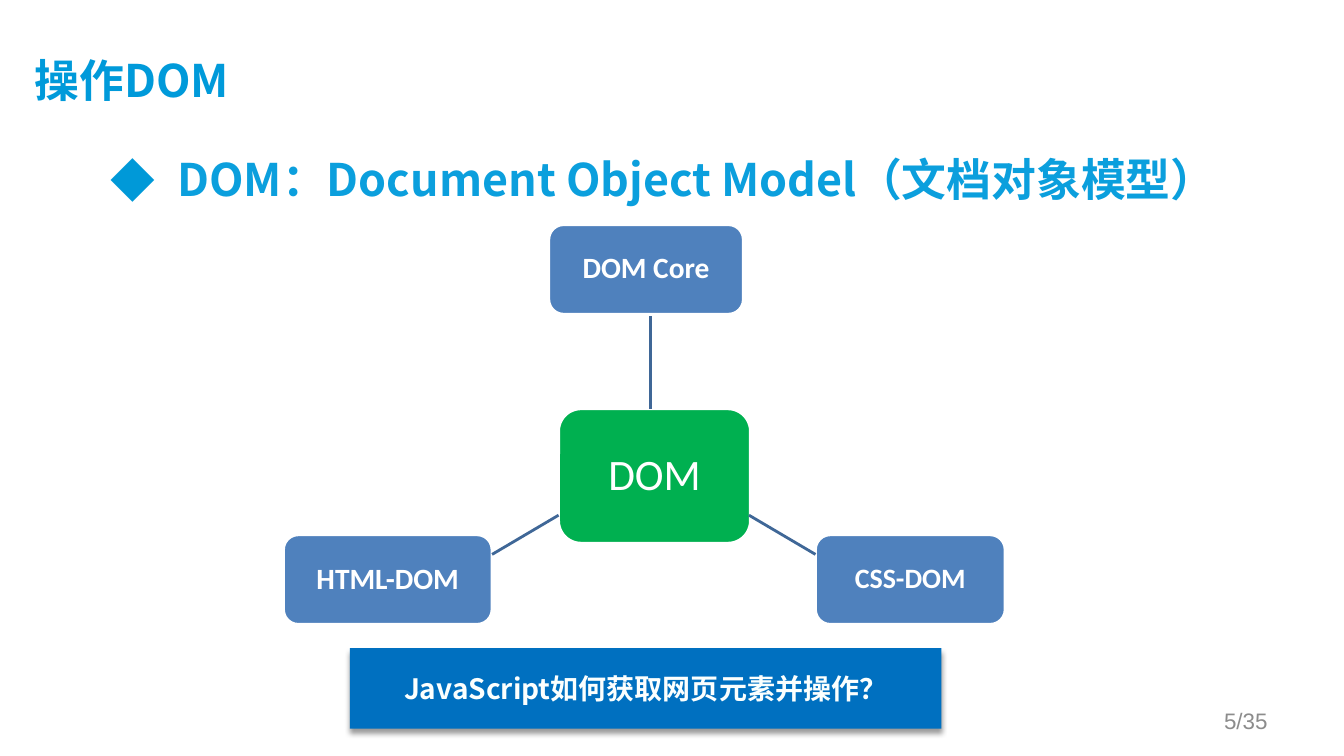
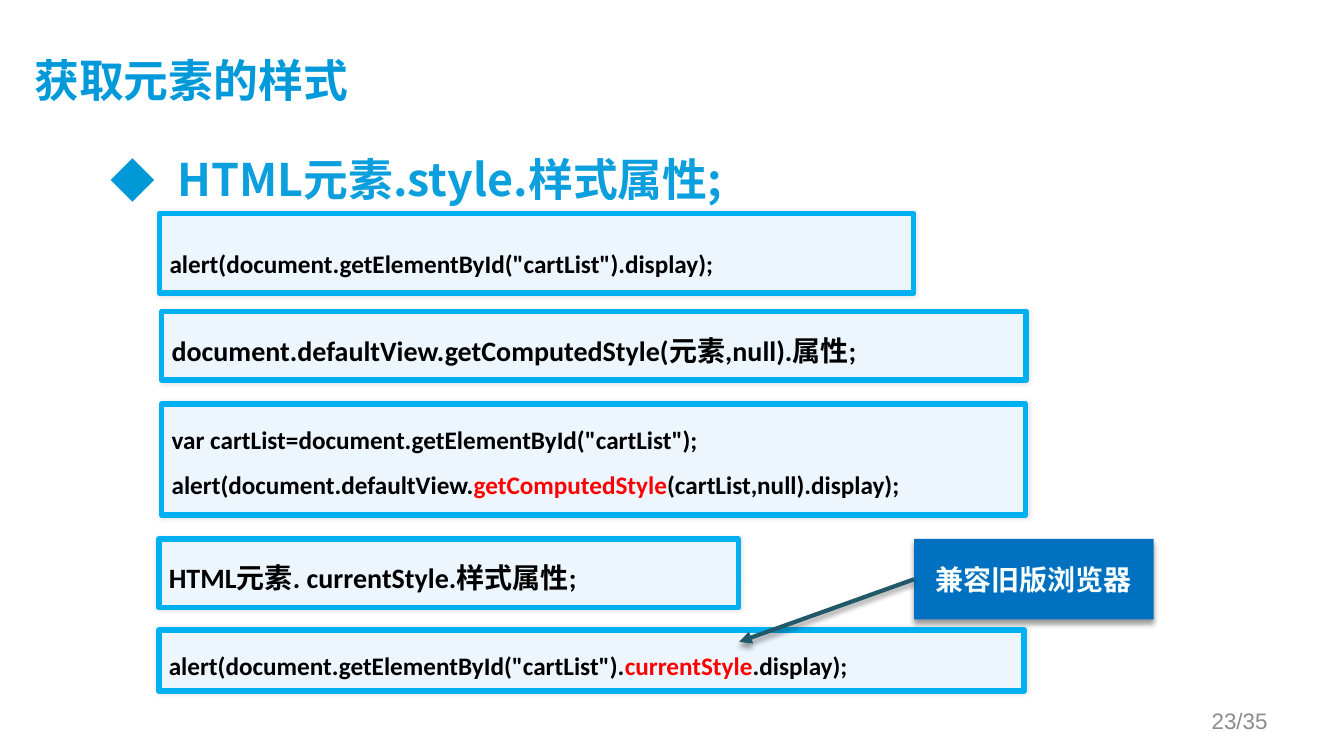
"""Build two slides on the DOM and on reading element styles."""
from lxml import etree
from pptx import Presentation
from pptx.dml.color import RGBColor
from pptx.enum.shapes import MSO_CONNECTOR, MSO_SHAPE
from pptx.enum.text import MSO_ANCHOR, PP_ALIGN
from pptx.oxml.ns import qn
from pptx.util import Pt

LEFT, CENTER, RIGHT = PP_ALIGN.LEFT, PP_ALIGN.CENTER, PP_ALIGN.RIGHT
TOP, MIDDLE = MSO_ANCHOR.TOP, MSO_ANCHOR.MIDDLE
RECTANGLE, ROUNDED = MSO_SHAPE.RECTANGLE, MSO_SHAPE.ROUNDED_RECTANGLE
STRAIGHT = MSO_CONNECTOR.STRAIGHT

COLORS = {
    "title": "009ADA",
    "heading": "0B9FDD",
    "bullet": "0099D8",
    "page": "8C8C8C",
    "white": "FFFFFF",
    "black": "000000",
    "highlight": "FF0000",
    "core": "00B050",
    "node": "4F81BD",
    "link": "3F6797",
    "callout": "0070C0",
    "callout_text": "FBFFFE",
    "code": "EDF5FD",
    "code_line": "00B0F0",
    "arrow": "215968",
}
RGB = {name: RGBColor.from_string(value) for name, value in COLORS.items()}
CJK_FONT, LATIN_FONT, PAGE_FONT = "Noto Sans CJK SC", "Calibri", "Arial"
CALLOUT_SHADOW = {"alpha": 40, "blur": 4, "distance": 3}
CODE_SHADOW = {"alpha": 10, "blur": 3, "distance": 0}


def write(shape, text, size, font, color, bold=True, align=LEFT, anchor=TOP, spacing=1.0):
    """Fill a shape with lines of text; pieces between bars are highlighted."""
    frame = shape.text_frame
    frame.word_wrap = True
    frame.vertical_anchor = anchor
    for index, line in enumerate(text.split("\n")):
        paragraph = frame.add_paragraph() if index else frame.paragraphs[0]
        paragraph.alignment = align
        paragraph.line_spacing = spacing
        for position, piece in enumerate(line.split("|")):
            run = paragraph.add_run()
            run.text = piece
            run.font.size = Pt(size)
            run.font.bold = bold
            run.font.name = font
            run.font.color.rgb = RGB["highlight" if position % 2 else color]
            east_asian = PAGE_FONT if font == PAGE_FONT else CJK_FONT
            etree.SubElement(run.font._element, qn("a:ea"), typeface=east_asian)


def set_shadow(shape, alpha=0, blur=0, distance=0):
    """Replace the theme shadow by a downward one, or by none."""
    effects = etree.SubElement(shape._element.spPr, qn("a:effectLst"))
    if alpha:
        outer = etree.SubElement(
            effects, qn("a:outerShdw"), blurRad=str(Pt(blur)), dist=str(Pt(distance)),
            dir="5400000", rotWithShape="0")
        color = etree.SubElement(outer, qn("a:srgbClr"), val=COLORS["black"])
        etree.SubElement(color, qn("a:alpha"), val=str(alpha * 1000))


presentation = Presentation()
presentation.slide_width = Pt(960)
presentation.slide_height = Pt(540)
blank_layout = presentation.slide_layouts[6]

pages = [
    ("操作DOM", "DOM：Document Object Model（文档对象模型）", "5/35",
     "JavaScript如何获取网页元素并操作？", (250, 463, 422.5, 57.5)),
    ("获取元素的样式", "HTML元素.style.样式属性;", "23/35",
     "兼容旧版浏览器", (653, 385, 171, 57.5)),
]
slides, callouts = [], []
for title, heading, page_number, callout_text, callout_box in pages:
    slide = presentation.slides.add_slide(blank_layout)
    slides.append(slide)

    title_box = slide.shapes.add_textbox(Pt(24.5), Pt(21.5), Pt(865), Pt(74))
    title_box.text_frame.margin_left = title_box.text_frame.margin_top = 0
    write(title_box, title, 32, CJK_FONT, "title", anchor=MIDDLE)

    heading_box = slide.shapes.add_textbox(Pt(71.5), Pt(111.5), Pt(815), Pt(350))
    properties = heading_box.text_frame.paragraphs[0]._p.get_or_add_pPr()
    properties.set("marL", str(Pt(48)))
    properties.set("indent", str(-Pt(48)))
    bullet_color = etree.SubElement(properties, qn("a:buClr"))
    etree.SubElement(bullet_color, qn("a:srgbClr"), val=COLORS["bullet"])
    etree.SubElement(properties, qn("a:buFont"), typeface=CJK_FONT)
    etree.SubElement(properties, qn("a:buChar"), char="◆")
    write(heading_box, heading, 32, CJK_FONT, "heading", spacing=0.82)

    page_box = slide.shapes.add_textbox(Pt(688.5), Pt(500.5), Pt(224), Pt(29))
    write(page_box, page_number, 16, PAGE_FONT, "page", bold=False, align=RIGHT, anchor=MIDDLE)

    callout = slide.shapes.add_shape(RECTANGLE, *map(Pt, callout_box))
    callout.fill.solid()
    callout.fill.fore_color.rgb = RGB["callout"]
    callout.line.fill.background()
    set_shadow(callout, **CALLOUT_SHADOW)
    write(callout, callout_text, 20, CJK_FONT, "callout_text", align=CENTER, anchor=MIDDLE)
    callouts.append(callout)

dom_slide, style_slide = slides

nodes = [
    ("DOM", (399, 292, 137, 96), "core", 31, False),
    ("DOM Core", (392, 160.5, 139, 64), "node", 21, True),
    ("CSS-DOM", (582.5, 382, 135.5, 64), "node", 20, True),
    ("HTML-DOM", (202.5, 382, 149, 64), "node", 21, True),
]
for label, box, fill, size, bold in nodes:
    node = dom_slide.shapes.add_shape(ROUNDED, *map(Pt, box))
    node.fill.solid()
    node.fill.fore_color.rgb = RGB[fill]
    node.line.color.rgb = RGB["white"]
    node.line.width = Pt(2)
    set_shadow(node)
    write(node, label, size, LATIN_FONT, "white", bold, CENTER, MIDDLE, 0.9)

links = [
    (464.5, 292, 464.5, 225.5),
    (535, 368, 582.5, 396),
    (399, 368, 351.5, 396),
]
for ends in links:
    link = dom_slide.shapes.add_connector(STRAIGHT, *map(Pt, ends))
    link.line.color.rgb = RGB["link"]
    link.line.width = Pt(2)
    set_shadow(link)

code_boxes = [
    ('alert(document.getElementById("cartList").display);',
     (114, 152.5, 538.5, 57), 18, 2.0),
    ("document.defaultView.getComputedStyle(元素,null).属性;",
     (115.5, 222.5, 617.5, 49), 20, 1.5),
    ('var cartList=document.getElementById("cartList");\n'
     "alert(document.defaultView.|getComputedStyle|(cartList,null).display);",
     (115.5, 288.5, 617, 79.5), 18, 1.5),
    ("HTML元素. currentStyle.样式属性;",
     (113.5, 385, 414, 49), 20, 1.5),
    ('alert(document.getElementById("cartList").|currentStyle|.display);',
     (113.5, 450, 618, 43.5), 18, 1.5),
]
for code, box, size, spacing in code_boxes:
    code_box = style_slide.shapes.add_shape(RECTANGLE, *map(Pt, box))
    code_box.fill.solid()
    code_box.fill.fore_color.rgb = RGB["code"]
    code_box.line.color.rgb = RGB["code_line"]
    code_box.line.width = Pt(4)
    set_shadow(code_box, **CODE_SHADOW)
    write(code_box, code, size, LATIN_FONT, "black", spacing=spacing)

arrow = style_slide.shapes.add_connector(STRAIGHT, Pt(653), Pt(414), Pt(528), Pt(458.5))
arrow.begin_connect(callouts[1], 1)
arrow.line.color.rgb = RGB["arrow"]
arrow.line.width = Pt(3)
etree.SubElement(arrow.line._get_or_add_ln(), qn("a:tailEnd"), type="triangle")
set_shadow(arrow, **CALLOUT_SHADOW)

presentation.save("out.pptx")
